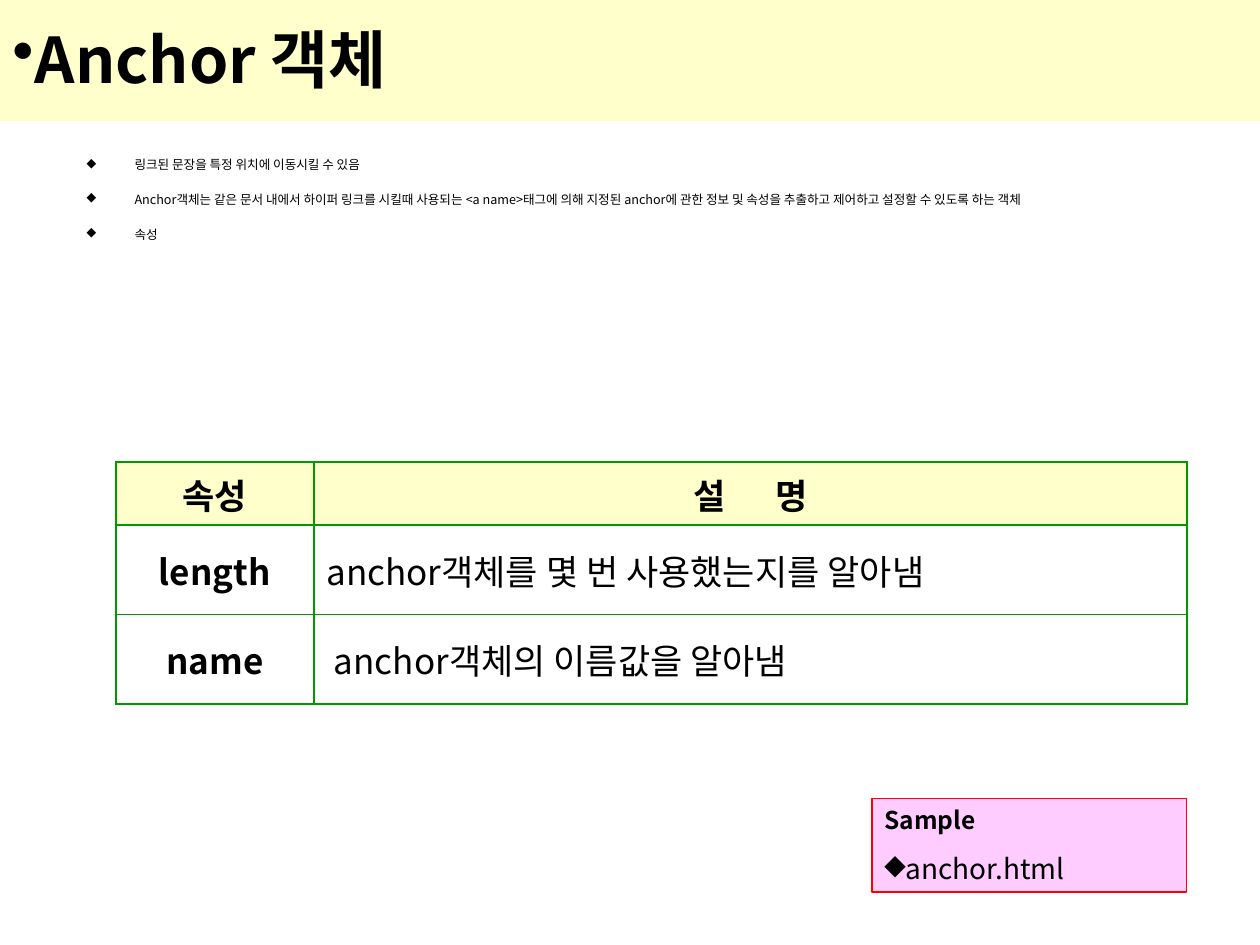
from pptx import Presentation
from pptx.dml.color import RGBColor
from pptx.enum.shapes import MSO_SHAPE as Shape
from pptx.enum.text import MSO_ANCHOR as Anchor, PP_ALIGN as Align
from pptx.oxml.ns import qn
from pptx.util import Emu, Inches, Pt
from lxml.etree import SubElement

COLORS = {
    "text": "000000",
    "cream": "FFFFCC",
    "pink": "FFCCFF",
    "red": "FF0000",
    "green": "009900",
}
FONT = "Noto Sans CJK KR"
SLIDE_W, SLIDE_H = Inches(10), Inches(7.5)

FACTS = [
    "링크된 문장을 특정 위치에 이동시킬 수 있음",
    "Anchor객체는 같은 문서 내에서 하이퍼 링크를 시킬때 사용되는 <a name>태그에 의해 "
    "지정된 anchor에 관한 정보 및 속성을 추출하고 제어하고 설정할 수 있도록 하는 객체",
    "속성",
]
# name, description, extra left indent of the description in inches
PROPERTIES = [
    ("length", "anchor객체를 몇 번 사용했는지를 알아냄", 0),
    ("name", "anchor객체의 이름값을 알아냄", 0.06),
]


def color(name):
    return RGBColor.from_string(COLORS[name])


def area(left, top, width, height):
    """Turn shares of the slide's size into lengths."""
    return (Emu(int(left * SLIDE_W)), Emu(int(top * SLIDE_H)),
            Emu(int(width * SLIDE_W)), Emu(int(height * SLIDE_H)))


def add_run(paragraph, text, size, bold=False, tracking=0):
    run = paragraph.add_run()
    run.text = text
    font = run.font
    font.size, font.bold, font.name = Pt(size), bold, FONT
    font.color.rgb = color("text")
    props = run._r.get_or_add_rPr()
    SubElement(props, qn("a:ea"), typeface=FONT)
    if tracking:
        props.set("spc", str(tracking * 100))


def add_bullet(paragraph, char, hanging=0):
    props = paragraph._p.get_or_add_pPr()
    props.set("marL", str(Inches(hanging)))
    props.set("indent", str(-Inches(hanging)))
    bullet_color = SubElement(props, qn("a:buClr"))
    SubElement(bullet_color, qn("a:srgbClr"), val=COLORS["text"])
    SubElement(props, qn("a:buChar"), char=char)


def add_panel(slide, place, fill, outline=None, anchor=Anchor.TOP):
    panel = slide.shapes.add_shape(Shape.RECTANGLE, *place)
    panel.shadow.inherit = False
    panel.fill.solid()
    panel.fill.fore_color.rgb = color(fill)
    if outline:
        panel.line.color.rgb = color(outline)
        panel.line.width = Pt(0.75)
    else:
        panel.line.fill.background()
    frame = panel.text_frame
    frame.word_wrap = True
    frame.vertical_anchor = anchor
    frame.paragraphs[0].alignment = Align.LEFT
    return frame


def add_title(slide):
    frame = add_panel(slide, area(0, -0.004, 1, 0.132), "cream", anchor=Anchor.MIDDLE)
    heading = frame.paragraphs[0]
    add_bullet(heading, "•")
    add_run(heading, "Anchor 객체", 36, bold=True)


def add_facts(slide):
    frame = slide.shapes.add_textbox(*area(0.059, 0.164, 0.906, 0.147)).text_frame
    frame.word_wrap = True
    for index, fact in enumerate(FACTS):
        paragraph = frame.add_paragraph() if index else frame.paragraphs[0]
        add_bullet(paragraph, "◆", hanging=0.38)
        paragraph.line_spacing = 0.7
        if index:
            paragraph.space_before = Pt(13.8)
        add_run(paragraph, fact, 7.2)


def style_cell(cell, fill=None):
    props = cell._tc.get_or_add_tcPr()
    for side in ("lnL", "lnR", "lnT", "lnB"):
        border = SubElement(props, qn(f"a:{side}"), w=str(Pt(1.08)))
        paint = SubElement(border, qn("a:solidFill"))
        SubElement(paint, qn("a:srgbClr"), val=COLORS["green"])
    if fill:
        cell.fill.solid()
        cell.fill.fore_color.rgb = color(fill)
    else:
        cell.fill.background()
    cell.vertical_anchor = Anchor.MIDDLE


def add_property_table(slide):
    place = area(0.092, 0.489, 0.85, 0.256)
    table = slide.shapes.add_table(len(PROPERTIES) + 1, 2, *place).table
    table.first_row = table.horz_banding = False
    for column, width in zip(table.columns, (1.57, 6.93)):
        column.width = Inches(width)
    for index, row in enumerate(table.rows):
        row.height = Inches(0.71 if index else 0.5)
        for cell in row.cells:
            style_cell(cell, None if index else "cream")

    name_head, description_head = (
        table.cell(0, column).text_frame.paragraphs[0] for column in range(2))
    name_head.alignment = description_head.alignment = Align.CENTER
    add_run(name_head, "속성", 20, bold=True)
    add_run(description_head, "설", 20, bold=True)
    add_run(description_head, " ", 20, bold=True, tracking=24)
    add_run(description_head, "명", 20, bold=True)

    for index, (name, description, indent) in enumerate(PROPERTIES, start=1):
        label, detail = (
            table.cell(index, column).text_frame.paragraphs[0] for column in range(2))
        label.alignment = Align.CENTER
        add_run(label, name, 20, bold=True)
        detail._p.get_or_add_pPr().set("marL", str(Inches(indent)))
        add_run(detail, description, 20)


def add_sample(slide):
    frame = add_panel(slide, area(0.692, 0.845, 0.25, 0.099), "pink", outline="red")
    add_run(frame.paragraphs[0], "Sample", 14, bold=True)
    file_line = frame.add_paragraph()
    file_line.alignment = Align.LEFT
    add_bullet(file_line, "◆")
    file_line.space_before = Pt(10)
    add_run(file_line, "anchor.html", 16)


def main():
    deck = Presentation()
    deck.slide_width, deck.slide_height = SLIDE_W, SLIDE_H
    slide = deck.slides.add_slide(deck.slide_layouts[6])
    add_title(slide)
    add_facts(slide)
    add_property_table(slide)
    add_sample(slide)
    deck.save("out.pptx")


if __name__ == "__main__":
    main()
